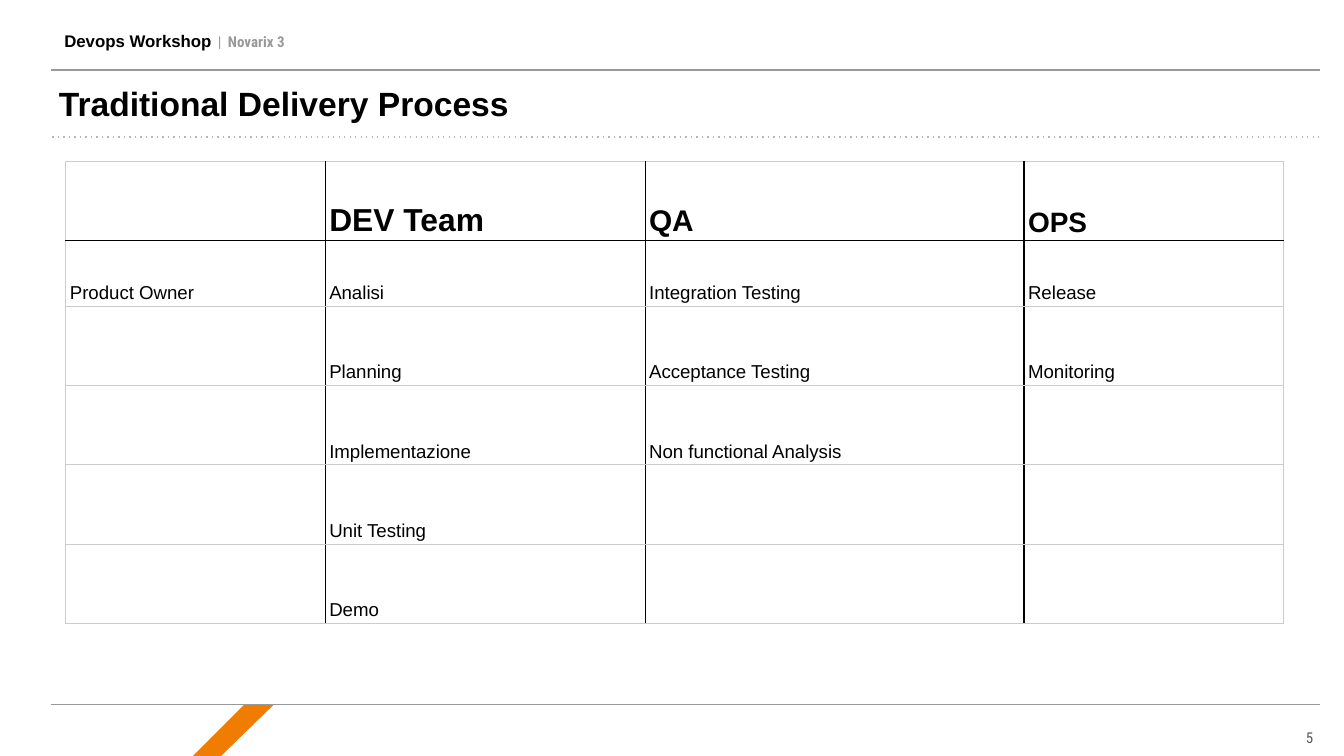
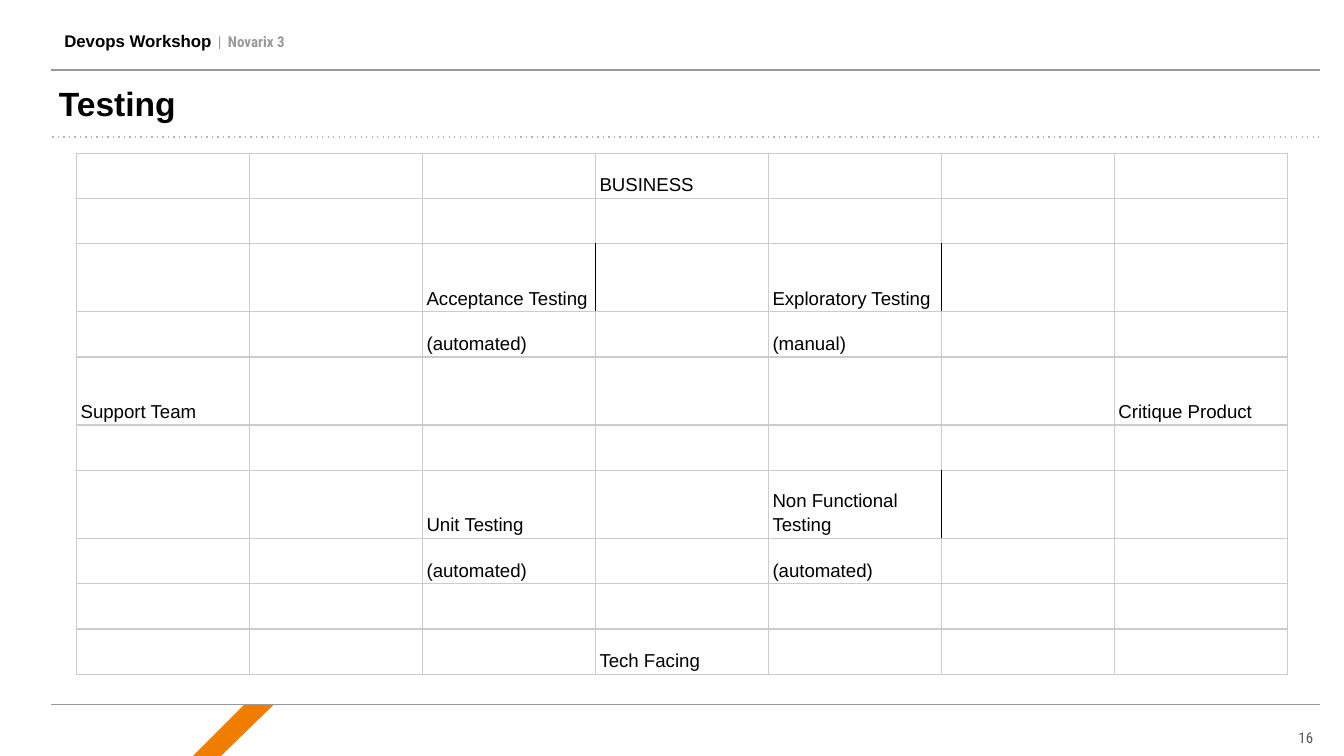
from lxml.etree import SubElement as Sub
from pptx import Presentation
from pptx.dml.color import RGBColor as RGB
from pptx.enum.dml import MSO_LINE as Dash
from pptx.enum.shapes import MSO_CONNECTOR as Con
from pptx.enum.text import MSO_ANCHOR as Anc, PP_ALIGN as Al
from pptx.oxml.ns import qn
from pptx.util import Inches as In, Pt

WIDE = 10
HIGH = WIDE * 9 / 16
COLS = {"ink": "000000", "grid": "CCCCCC", "rule": "999999", "dots": "B7B7B7",
        "page": "595959", "flash": "F07D00"}
SANS, SLIM = "Arial", "Roboto Condensed"

FORMS = {
    "brand": {"size": 9, "name": SANS, "color": "ink", "bold": True},
    "gap": {"size": 8, "name": SLIM, "color": "ink", "space": 1.6},
    "bar": {"size": 8, "name": SLIM, "color": "rule"},
    "event": {"size": 8, "name": SLIM, "color": "rule", "bold": True},
    "page": {"size": 8, "name": SLIM, "color": "page"},
    "title": {"size": 18, "name": SANS, "color": "ink", "bold": True},
    "cell": {"size": 10, "name": SANS, "color": "ink"},
}
HEAD = [("Devops Workshop", "brand"), (" ", "gap"), ("|", "bar"), (" ", "gap"),
        ("Novarix 3", "event")]
FLASH = [(1.82, 5.24), (1.42, 5.64), (1.64, 5.63), (2.04, 5.24)]

SLIDES = [
    {
        "title": "Traditional Delivery Process",
        "page": "5",
        "at": (0.49, 1.2),
        "cols": [1.93, 2.38, 2.82, 1.93],
        "rows": [0.59, 0.49] + [0.59] * 4,
        "cells": [
            ["", "DEV Team", "QA", "OPS"],
            ["Product Owner", "Analisi", "Integration Testing", "Release"],
            ["", "Planning", "Acceptance Testing", "Monitoring"],
            ["", "Implementazione", "Non functional Analysis", ""],
            ["", "Unit Testing", "", ""],
            ["", "Demo", "", ""],
        ],
        "heads": [10, 17, 16, 15],
        "right": {(r, c) for r in range(6) for c in range(3)},
        "below": {(0, c) for c in range(4)},
    },
    {
        "title": "Testing",
        "page": "16",
        "at": (0.57, 1.14),
        "cols": [9.01 / 7] * 7,
        "rows": [3.88 / 23 * (3 if r in (2, 4, 6) else 2) for r in range(10)],
        "cells": [
            ["", "", "", "BUSINESS", "", "", ""],
            [""] * 7,
            ["", "", "Acceptance Testing", "", "Exploratory Testing", "", ""],
            ["", "", "(automated)", "", "(manual)", "", ""],
            ["Support Team", "", "", "", "", "", "Critique Product"],
            [""] * 7,
            ["", "", "Unit Testing", "", "Non Functional Testing", "", ""],
            ["", "", "(automated)", "", "(automated)", "", ""],
            [""] * 7,
            ["", "", "", "Tech Facing", "", "", ""],
        ],
        "heads": [],
        "right": {(2, 2), (2, 4), (6, 4)},
        "below": set(),
    },
]


def tint(name):
    return RGB.from_string(COLS[name])


def write(para, text, form):
    run = para.add_run()
    run.text = text
    for key, val in form.items():
        if key == "color":
            run.font.color.rgb = tint(val)
        elif key == "space":
            run._r.get_or_add_rPr().set("spc", str(int(val * 100)))
        else:
            setattr(run.font, key, Pt(val) if key == "size" else val)


def label(slide, box, runs, anchor=Anc.MIDDLE, align=Al.LEFT):
    frame = slide.shapes.add_textbox(*map(In, box)).text_frame
    pad = In(0.1)
    look = {"word_wrap": True, "vertical_anchor": anchor, "margin_left": pad,
            "margin_right": pad, "margin_top": pad, "margin_bottom": pad}
    for key, val in look.items():
        setattr(frame, key, val)
    para = frame.paragraphs[0]
    para.alignment = align
    for text, form in runs:
        write(para, text, FORMS[form])


def rule(slide, left, top, color, dots=False):
    line = slide.shapes.add_connector(Con.STRAIGHT, In(left), In(top), In(9.82), In(top))
    line.line.color.rgb = tint(color)
    line.line.width = Pt(0.75)
    if dots:
        line.line.dash_style = Dash.ROUND_DOT
        next(line._element.iter(qn("a:prstDash"))).set("val", "dot")
    Sub(line._element.spPr, qn("a:effectLst"))


def frame(slide, title, page):
    pts = [(In(x), In(y)) for x, y in FLASH]
    path = slide.shapes.build_freeform(*pts[0])
    path.add_line_segments(pts[1:], close=True)
    flash = path.convert_to_shape()
    flash.shadow.inherit = False
    flash.fill.solid()
    flash.fill.fore_color.rgb = tint("flash")
    flash.line.fill.background()
    label(slide, (0.38, 0.15, 5.91, 0.3), HEAD, Anc.TOP)
    rule(slide, 0.38, 0.52, "rule")
    rule(slide, 0.38, 5.24, "rule")
    label(slide, (9.27, 5.27, 0.6, 0.43), [(page, "page")], align=Al.RIGHT)
    label(slide, (0.34, 0.51, 9.46, 0.52), [(title, "title")])
    rule(slide, 0.39, 1.02, "dots", True)


def edge(cell, side, dark):
    line = Sub(cell._tc.get_or_add_tcPr(), qn("a:ln" + side), w=str(Pt(0.75)))
    fill = Sub(line, qn("a:solidFill"))
    Sub(fill, qn("a:srgbClr"), val=COLS["ink" if dark else "grid"])


def table(slide, data):
    cols, rows = data["cols"], data["rows"]
    size = (*data["at"], sum(cols), sum(rows))
    grid = slide.shapes.add_table(len(rows), len(cols), *map(In, size)).table
    grid.first_row = grid.horz_banding = False
    for col, wide in zip(grid.columns, cols):
        col.width = In(wide)
    for row, high in zip(grid.rows, rows):
        row.height = In(high)
    look = {"vertical_anchor": Anc.BOTTOM, "margin_left": In(0.03),
            "margin_right": In(0.03), "margin_top": In(0.02), "margin_bottom": In(0.02)}
    right, below = data["right"], data["below"]
    for r, texts in enumerate(data["cells"]):
        for c, text in enumerate(texts):
            cell = grid.cell(r, c)
            for key, val in look.items():
                setattr(cell, key, val)
            edge(cell, "L", (r, c - 1) in right)
            edge(cell, "R", (r, c) in right)
            edge(cell, "T", (r - 1, c) in below)
            edge(cell, "B", (r, c) in below)
            cell.fill.background()
            para = cell.text_frame.paragraphs[0]
            para.line_spacing = 1.15
            form = FORMS["cell"]
            if r == 0 and data["heads"]:
                form = {**form, "size": data["heads"][c], "bold": True}
            if text:
                write(para, text, form)
            else:
                Sub(para._p, qn("a:endParaRPr"), sz="1000")


def main():
    deck = Presentation()
    deck.slide_width, deck.slide_height = In(WIDE), In(HIGH)
    for data in SLIDES:
        slide = deck.slides.add_slide(deck.slide_layouts[6])
        frame(slide, data["title"], data["page"])
        table(slide, data)
    deck.save("out.pptx")


if __name__ == "__main__":
    main()
